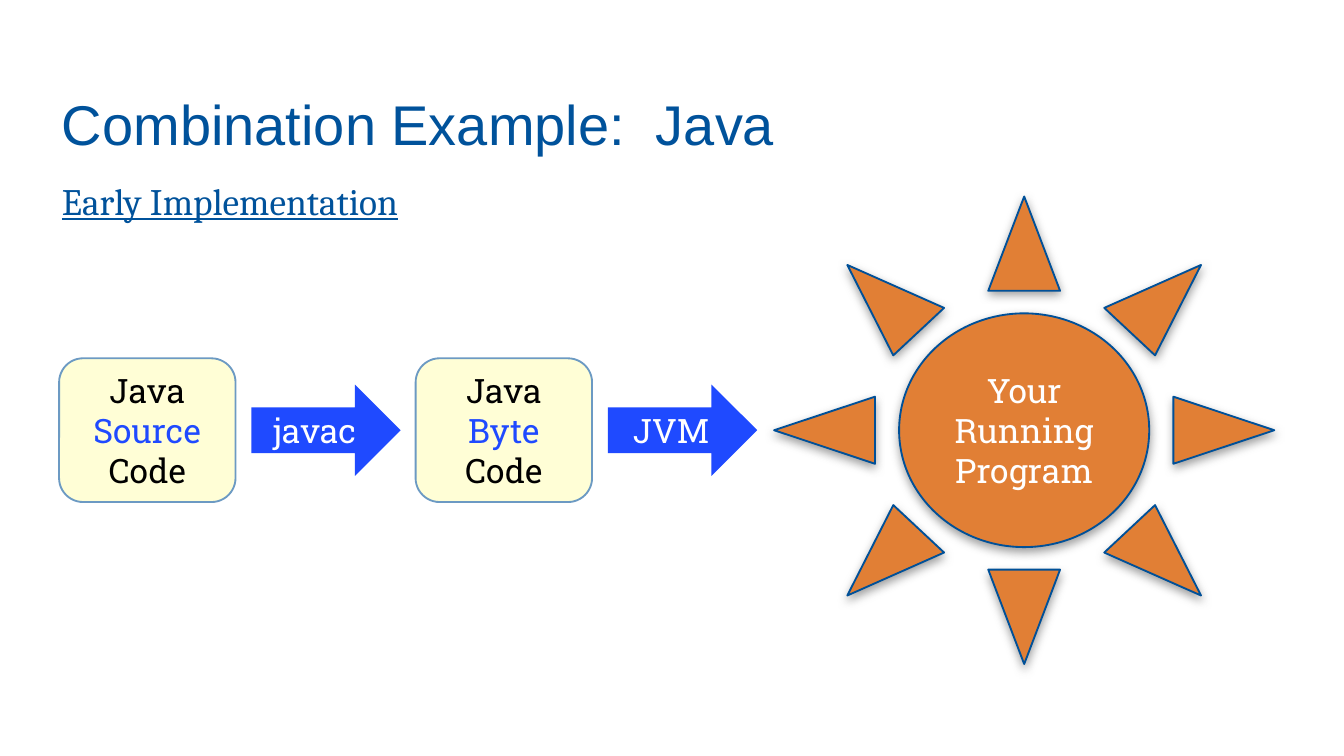
from lxml.etree import SubElement
from pptx import Presentation
from pptx.dml.color import RGBColor
from pptx.enum.shapes import MSO_SHAPE as SHAPE
from pptx.enum.text import MSO_ANCHOR as ANCHOR, MSO_AUTO_SIZE as AUTO, PP_ALIGN as ALIGN
from pptx.oxml.ns import qn
from pptx.util import Pt

NAVY, BLUE, WHITE, BLACK = "00529B", "1F4AFF", "FFFFFF", "000000"
CREAM, STEEL, ORANGE, SUN_EDGE, GREY = "FFFED6", "6C9AC3", "E17F35", "005098", "808080"
TITLE = {"name": "Arial", "size": Pt(30)}
HEADING = {"name": "Cambria", "size": Pt(20), "underline": True}
LABEL = {"name": "Roboto Slab", "size": Pt(18)}

MID_Y = 230.5
STEP = 191
STAGES = [("Source", "javac"), ("Byte", "JVM")]


def rgb(hex_color):
    return RGBColor.from_string(hex_color)


def set_attrs(obj, values):
    for name, value in values.items():
        setattr(obj, name, value)


def add_run(p, text, style, color):
    r = p.add_run()
    r.text = text
    set_attrs(r.font, style)
    r.font.color.rgb = rgb(color)


def fill_placeholder(sp, box, text, style, spacing):
    """Move a template placeholder and give it one plain, unbulleted line."""
    set_attrs(sp, dict(zip(("left", "top", "width", "height"), map(Pt, box))))
    tf = sp.text_frame
    set_attrs(tf, {"word_wrap": True, "auto_size": AUTO.NONE, "vertical_anchor": ANCHOR.TOP,
                   "margin_left": Pt(7.2), "margin_top": Pt(7.2)})
    p = tf.paragraphs[0]
    set_attrs(p, {"alignment": ALIGN.LEFT, "space_before": Pt(0), "line_spacing": spacing})
    pPr = p._p.get_or_add_pPr()
    pPr.set("marL", "0")
    pPr.set("indent", "0")
    SubElement(pPr, qn("a:buNone"))
    add_run(p, text, style, NAVY)


def add_node(s, kind, left, width, height, fill, runs, edge=None, inset=None):
    """Add a labelled shape centred on the flow's middle line."""
    sp = s.shapes.add_shape(kind, Pt(left), Pt(MID_Y - height / 2), Pt(width), Pt(height))
    sp.shadow.inherit = False
    sp.fill.solid()
    sp.fill.fore_color.rgb = rgb(fill)
    if edge:
        sp.line.color.rgb = rgb(edge)
        sp.line.width = Pt(1)
    else:
        sp.line.fill.background()
    tf = sp.text_frame
    set_attrs(tf, {"word_wrap": True, "vertical_anchor": ANCHOR.MIDDLE})
    if inset is not None:
        sides = ("left", "top", "right", "bottom")
        set_attrs(tf, {f"margin_{side}": Pt(inset) for side in sides})
    p = tf.paragraphs[0]
    p.alignment = ALIGN.CENTER
    for text, color in runs:
        add_run(p, text, LABEL, color)
    return sp


def add_shadow(sp, color, opacity, blur, distance):
    """Cast a shadow straight down; opacity is in percent."""
    effects = sp._element.spPr.find(qn("a:effectLst"))
    shadow = SubElement(effects, qn("a:outerShdw"), blurRad=str(Pt(blur)),
                        dist=str(Pt(distance)), dir="5400000", rotWithShape="0")
    clr = SubElement(shadow, qn("a:srgbClr"), val=color)
    SubElement(clr, qn("a:alpha"), val=str(opacity * 1000))


def add_stage(s, left, code_kind, tool):
    """Add a code box and the arrow of the tool that processes it."""
    runs = [("Java", BLACK), (f" {code_kind} ", BLUE), ("Code", BLACK)]
    add_node(s, SHAPE.FLOWCHART_ALTERNATE_PROCESS, left, 94.5, 77, CREAM, runs, STEEL)
    add_node(s, SHAPE.RIGHT_ARROW, left + 103, 80, 49, BLUE, [(tool, WHITE)])


def main():
    prs = Presentation()
    set_attrs(prs, {"slide_width": Pt(720), "slide_height": Pt(405)})
    s = prs.slides.add_slide(prs.slide_layouts[1])
    fill_placeholder(s.shapes.title, (26, 41, 668, 66),
                     "Combination Example:  Java", TITLE, 1.0)
    fill_placeholder(s.placeholders[1], (26, 91, 232.5, 37),
                     "Early Implementation", HEADING, 0.9)
    for i, (code_kind, tool) in enumerate(STAGES):
        add_stage(s, 31.7 + i * STEP, code_kind, tool)
    sun = add_node(s, SHAPE.SUN, 414.7, 268, 250.5, ORANGE,
                   [("Your Running Program", WHITE)], SUN_EDGE, inset=0)
    add_shadow(sun, GREY, 75, 5, 2)
    prs.save("out.pptx")


if __name__ == "__main__":
    main()
